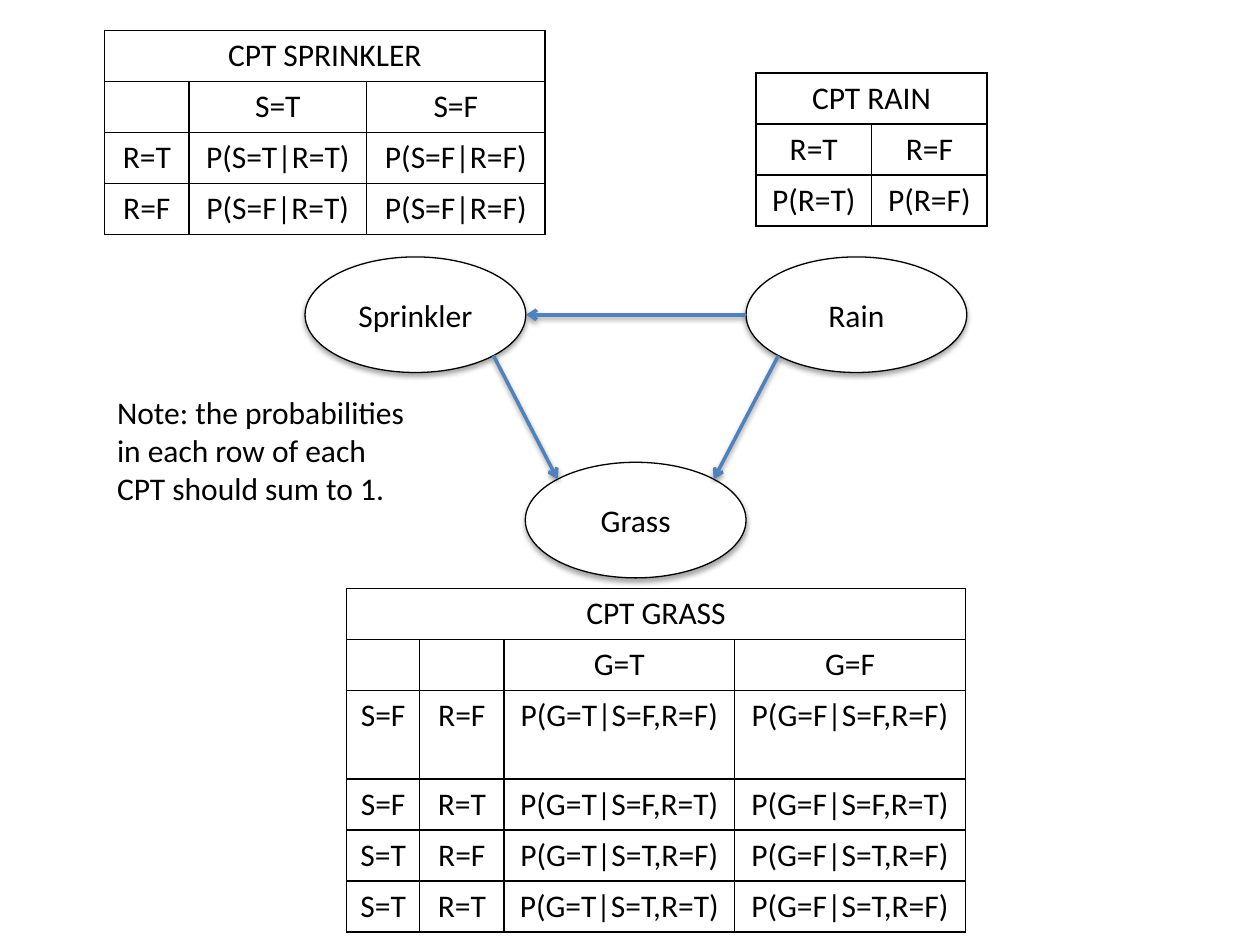
from math import sqrt
from lxml import etree
from pptx import Presentation
from pptx.dml.color import RGBColor
from pptx.enum import shapes, text
from pptx.oxml import ns
from pptx.util import Cm, Pt

COLORS = {"ink": "000000", "paper": "FFFFFF", "arrow": "4F81BD"}
FONT = "Calibri"
NODE_W, NODE_H = 4.45, 2.33
ROW_H = 1.03


def rgb(name):
    return RGBColor.from_string(COLORS[name])


def sub(parent, tag, **attrs):
    el = etree.SubElement(parent, ns.qn(tag))
    for key, value in attrs.items():
        el.set(key, str(value))
    return el


def write(tf, content, size=18, color="ink", align=text.PP_ALIGN.CENTER):
    p = tf.paragraphs[0]
    p.alignment = align
    if content:
        r = p.add_run()
        r.text = content
        r.font.name, r.font.size, r.font.bold = FONT, Pt(size), False
        r.font.color.rgb = rgb(color)


def add_shadow(sp, alpha, dist):
    pr = sp._element.spPr
    effects = pr.find(ns.qn("a:effectLst"))
    if effects is None:
        effects = sub(pr, "a:effectLst")
    shadow = sub(effects, "a:outerShdw", blurRad=Pt(3.1), dist=Pt(dist),
                 dir=5400000, rotWithShape=0)
    clr = sub(shadow, "a:srgbClr", val=COLORS["ink"])
    sub(clr, "a:alpha", val=alpha * 1000)


def add_node(s, label, left, top):
    sp = s.shapes.add_shape(shapes.MSO_SHAPE.OVAL, Cm(left), Cm(top),
                            Cm(NODE_W), Cm(NODE_H))
    sp.fill.solid()
    sp.fill.fore_color.rgb = rgb("paper")
    sp.line.color.rgb = rgb("ink")
    sp.line.width = Pt(0.75)
    sp.shadow.inherit = False
    add_shadow(sp, 35, 1.8)
    sp.text_frame.vertical_anchor = text.MSO_ANCHOR.MIDDLE
    write(sp.text_frame, label)
    return sp


def rim(sp, dx, dy):
    scale = 1 / sqrt(dx * dx + dy * dy)
    return (int(sp.left + sp.width / 2 * (1 + dx * scale)),
            int(sp.top + sp.height / 2 * (1 + dy * scale)))


def add_arrow(s, start, end):
    cxn = s.shapes.add_connector(shapes.MSO_CONNECTOR.STRAIGHT, *start, *end)
    cxn.line.color.rgb = rgb("arrow")
    cxn.line.width = Pt(2)
    sub(cxn.line._get_or_add_ln(), "a:tailEnd", type="arrow")
    add_shadow(cxn, 38, 1.6)


def add_borders(cell):
    tc_pr = cell._tc.get_or_add_tcPr()
    for side in "LRTB":
        ln = sub(tc_pr, "a:ln" + side, w=Pt(1))
        sub(sub(ln, "a:solidFill"), "a:srgbClr", val=COLORS["ink"])


def add_cpt(s, left, top, title, widths, body, heights=None):
    rows = [[title] + [""] * (len(widths) - 1)] + body
    heights = heights or [ROW_H] * len(rows)
    tbl = s.shapes.add_table(len(rows), len(widths), Cm(left), Cm(top),
                             Cm(sum(widths)), Cm(sum(heights))).table
    tbl.first_row = tbl.horz_banding = False
    for col, width in zip(tbl.columns, widths):
        col.width = Cm(width)
    for i, (row, height) in enumerate(zip(rows, heights)):
        tbl.rows[i].height = Cm(height)
        for j, content in enumerate(row):
            cell = tbl.cell(i, j)
            add_borders(cell)
            cell.fill.background()
            write(cell.text_frame, content)
    tbl.cell(0, 0).merge(tbl.cell(0, len(widths) - 1))


def add_note(s, left, top, width, height, content):
    tf = s.shapes.add_textbox(Cm(left), Cm(top), Cm(width), Cm(height)).text_frame
    tf.word_wrap = True
    tf.auto_size = text.MSO_AUTO_SIZE.SHAPE_TO_FIT_TEXT
    write(tf, content, align=text.PP_ALIGN.LEFT)


def main():
    prs = Presentation()
    prs.slide_width, prs.slide_height = Cm(25.4), Cm(19.05)
    s = prs.slides.add_slide(prs.slide_layouts[6])

    sprinkler = add_node(s, "Sprinkler", 6.15, 5.18)
    rain = add_node(s, "Rain", 15.04, 5.18)
    grass = add_node(s, "Grass", 10.59, 9.32)
    add_arrow(s, rim(rain, -1, 0), rim(sprinkler, 1, 0))
    add_arrow(s, rim(rain, -1, 1), rim(grass, 1, -1))
    add_arrow(s, rim(sprinkler, 1, 1), rim(grass, -1, -1))

    add_cpt(s, 15.24, 1.47, "CPT RAIN", [2.33, 2.33],
            [["R=T", "R=F"], ["P(R=T)", "P(R=F)"]])
    add_cpt(s, 2.11, 0.61, "CPT SPRINKLER", [1.7, 3.58, 3.6],
            [["", "S=T", "S=F"],
             ["R=T", "P(S=T|R=T)", "P(S=F|R=F)"],
             ["R=F", "P(S=F|R=T)", "P(S=F|R=F)"]])
    add_note(s, 2.11, 7.8, 6.55, 2.57,
             "Note: the probabilities in each row of each CPT should sum to 1.")
    add_cpt(s, 6.99, 11.86, "CPT GRASS", [1.47, 1.7, 4.65, 4.65],
            [["", "", "G=T", "G=F"],
             ["S=F", "R=F", "P(G=T|S=F,R=F)", "P(G=F|S=F,R=F)"],
             ["S=F", "R=T", "P(G=T|S=F,R=T)", "P(G=F|S=F,R=T)"],
             ["S=T", "R=F", "P(G=T|S=T,R=F)", "P(G=F|S=T,R=F)"],
             ["S=T", "R=T", "P(G=T|S=T,R=T)", "P(G=F|S=T,R=F)"]],
            [ROW_H, ROW_H, 1.78, ROW_H, ROW_H, ROW_H])
    prs.save("out.pptx")


main()
